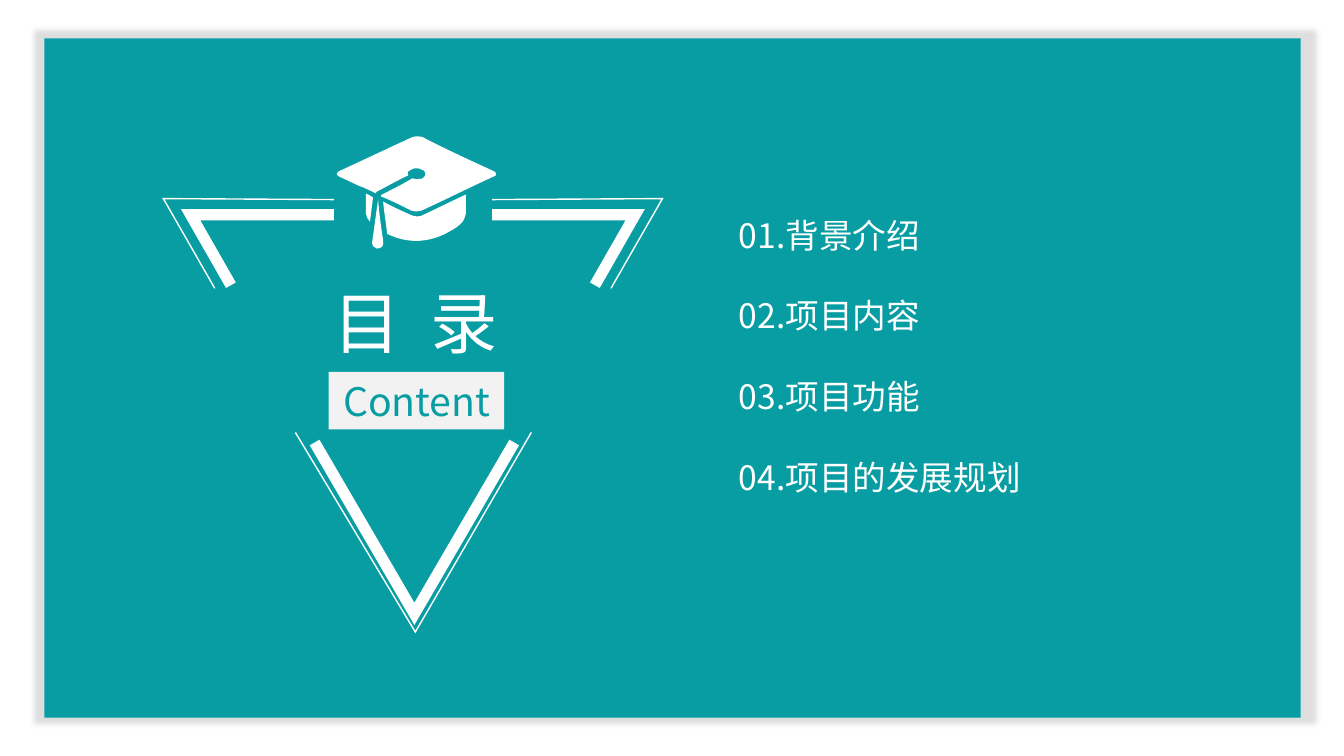
"""Build the contents slide with a graduation cap over a broken triangle."""
from dataclasses import dataclass

import lxml.etree
import pptx
import pptx.dml.color
import pptx.enum.shapes
import pptx.enum.text
import pptx.oxml.ns
import pptx.util

PX = 9144
MIRROR_SUM = 819


@dataclass(frozen=True)
class Theme:
    """Colours, font and type sizes of the slide."""
    teal: str = "089DA3"
    white: str = "FFFFFF"
    label: str = "F2F2F2"
    shadow: str = "A6A6A6"
    font: str = "Noto Sans CJK SC"
    title_size: int = 48
    label_size: int = 28
    topic_size: int = 24


THEME = Theme()

TOPICS = ("背景介绍", "项目内容", "项目功能", "项目的发展规划")

CORNERS = (
    (((213, 286), (162, 197), (331, 198)), 1),
    (((229, 283), (189, 213), (331, 213)), 8),
)
POINTS_DOWN = (
    (((527, 429), (412, 627), (293, 429)), 1),
    (((510, 439), (411, 609), (312, 439)), 8),
)

CAP_BOARD = ((407, 137), (
    (410, 135, 415, 135, 419, 136), (442, 148, 466, 159, 490, 170),
    (491, 171, 492, 171, 492, 173), (492, 174, 491, 175, 490, 175),
    (466, 186, 442, 198, 418, 209), (415, 210, 411, 210, 408, 209),
    (400, 205, 392, 201, 383, 197), (381, 196, 380, 196, 378, 195),
    (378, 194, 378, 193, 379, 193), (389, 188, 399, 183, 409, 177),
    (412, 178, 416, 178, 419, 177), (420, 176, 422, 175, 422, 173),
    (422, 171, 421, 170, 420, 169), (417, 167, 414, 167, 411, 167),
    (409, 168, 406, 169, 405, 170), (404, 171, 404, 173, 405, 174),
    (394, 179, 384, 185, 374, 190), (373, 190, 373, 191, 373, 192),
    (367, 189, 361, 186, 355, 184), (349, 181, 342, 178, 336, 175),
    (335, 174, 334, 174, 334, 172), (334, 171, 335, 171, 336, 170),
    (360, 159, 383, 148, 407, 137),
))
CAP_LEFT_SIDE = ((363, 192), (
    (365, 193, 368, 194, 370, 196), (369, 204, 368, 212, 367, 220),
    (365, 217, 363, 215, 363, 212), (363, 205, 363, 199, 363, 192),
))
CAP_CROWN = ((418, 214), (
    (433, 207, 447, 200, 462, 193), (462, 199, 462, 206, 462, 212),
    (462, 215, 460, 217, 459, 220), (455, 224, 451, 227, 447, 229),
    (434, 237, 417, 241, 402, 238), (396, 237, 390, 235, 384, 232),
    (383, 222, 381, 211, 380, 200), (389, 205, 398, 209, 407, 213),
    (411, 215, 415, 215, 418, 214),
))
CAP_TASSEL = ((369, 241), (
    (371, 227, 373, 212, 375, 198), (376, 212, 378, 225, 380, 239),
    (380, 240, 380, 241, 380, 242), (380, 244, 379, 245, 377, 246),
    (375, 247, 373, 247, 371, 245), (370, 244, 369, 243, 369, 241),
))


def rgb(code):
    """Return a colour from its hexadecimal code."""
    return pptx.dml.color.RGBColor.from_string(code)


def add_outline(page, points, close):
    """Add a shadowless freeform through points given in px."""
    builder = page.shapes.build_freeform(*points[0], scale=PX)
    builder.add_line_segments(points[1:], close=close)
    shape = builder.convert_to_shape()
    shape.shadow.inherit = False
    return shape


def add_stroke(page, points, width):
    """Add an open white line with sharp corners."""
    shape = add_outline(page, points, False)
    shape.fill.background()
    shape.line.color.rgb = rgb(THEME.white)
    shape.line.width = pptx.util.Pt(width)
    line = shape.line._get_or_add_ln()
    lxml.etree.SubElement(line, pptx.oxml.ns.qn("a:miter"), lim="800000")


def bend_segments(shape, points, curves):
    """Turn the straight segments of a freeform into cubic curves."""
    qn = pptx.oxml.ns.qn
    left, top = (min(values) for values in zip(*points))
    segments = list(shape._element.iter(qn("a:lnTo")))
    for segment, curve in zip(segments, curves):
        bend = segment.makeelement(qn("a:cubicBezTo"))
        for x, y in zip(curve[::2], curve[1::2]):
            lxml.etree.SubElement(bend, qn("a:pt"), x=str(x - left), y=str(y - top))
        segment.getparent().replace(segment, bend)


def add_cap_part(page, start, curves):
    """Add one filled part of the graduation cap."""
    points = [start] + [curve[4:] for curve in curves]
    shape = add_outline(page, points, True)
    bend_segments(shape, points, curves)
    shape.fill.solid()
    shape.fill.fore_color.rgb = rgb(THEME.white)
    shape.line.fill.background()


def add_rectangle(page, left, top, width, height, color):
    """Add a plain filled rectangle."""
    shape = page.shapes.add_shape(
        pptx.enum.shapes.MSO_SHAPE.RECTANGLE,
        left * PX, top * PX, width * PX, height * PX)
    shape.shadow.inherit = False
    shape.fill.solid()
    shape.fill.fore_color.rgb = rgb(color)
    shape.line.fill.background()
    return shape


def add_glow(shape):
    """Give a shape a soft shadow slightly larger than itself."""
    qn = pptx.oxml.ns.qn
    effects = shape._element.spPr.find(qn("a:effectLst"))
    shadow = lxml.etree.SubElement(
        effects, qn("a:outerShdw"), blurRad="50800", dist="25400", dir="0",
        sx="102000", sy="102000", algn="ctr", rotWithShape="0")
    color = lxml.etree.SubElement(shadow, qn("a:srgbClr"), val=THEME.shadow)
    lxml.etree.SubElement(color, qn("a:alpha"), val="36000")


def add_text_box(page, left, top, width, height):
    """Add a wrapping text box and return its text frame."""
    box = page.shapes.add_textbox(left * PX, top * PX, width * PX, height * PX)
    box.text_frame.word_wrap = True
    return box.text_frame


def style_paragraph(para, size, color, centered=False, spacing=0):
    """Set the font, alignment and letter spacing of a paragraph."""
    qn = pptx.oxml.ns.qn
    para.font.name = THEME.font
    para.font.size = pptx.util.Pt(size)
    para.font.color.rgb = rgb(color)
    properties = para._p.pPr.find(qn("a:defRPr"))
    lxml.etree.SubElement(properties, qn("a:ea"), typeface=THEME.font)
    if spacing:
        properties.set("spc", str(spacing))
    align = pptx.enum.text.PP_ALIGN
    para.alignment = align.CENTER if centered else align.LEFT


def add_triangle(page):
    """Draw the broken double triangle, mirroring its upper corner."""
    for points, width in CORNERS:
        add_stroke(page, points, width)
        add_stroke(page, [(MIRROR_SUM - x, y) for x, y in points], width)
    for points, width in POINTS_DOWN:
        add_stroke(page, points, width)


def add_heading(page):
    """Add the title and its label."""
    title = add_text_box(page, 302, 274, 221, 91).paragraphs[0]
    title.text = "目 录"
    style_paragraph(title, THEME.title_size, THEME.white, True, 540)
    label = add_rectangle(page, 326, 369, 174, 57, THEME.label).text_frame
    label.word_wrap = True
    label.vertical_anchor = pptx.enum.text.MSO_ANCHOR.TOP
    label.paragraphs[0].text = "Contents"
    style_paragraph(label.paragraphs[0], THEME.label_size, THEME.teal, True)


def add_topics(page):
    """Add the numbered list of topics."""
    frame = add_text_box(page, 723, 168, 462, 414)
    for number, topic in enumerate(TOPICS, 1):
        para = frame.paragraphs[0] if number == 1 else frame.add_paragraph()
        para.text = f"{number:02}.{topic}"
        para.line_spacing = 2.0
        style_paragraph(para, THEME.topic_size, THEME.white)


def main():
    """Build and save the deck."""
    deck = pptx.Presentation()
    deck.slide_width, deck.slide_height = 1333 * PX, 750 * PX
    page = deck.slides.add_slide(deck.slide_layouts[6])
    add_glow(add_rectangle(page, 44, 38, 1246, 674, THEME.teal))
    add_triangle(page)
    for start, curves in (CAP_BOARD, CAP_LEFT_SIDE, CAP_CROWN, CAP_TASSEL):
        add_cap_part(page, start, curves)
    add_topics(page)
    add_heading(page)
    deck.save("out.pptx")


if __name__ == "__main__":
    main()
